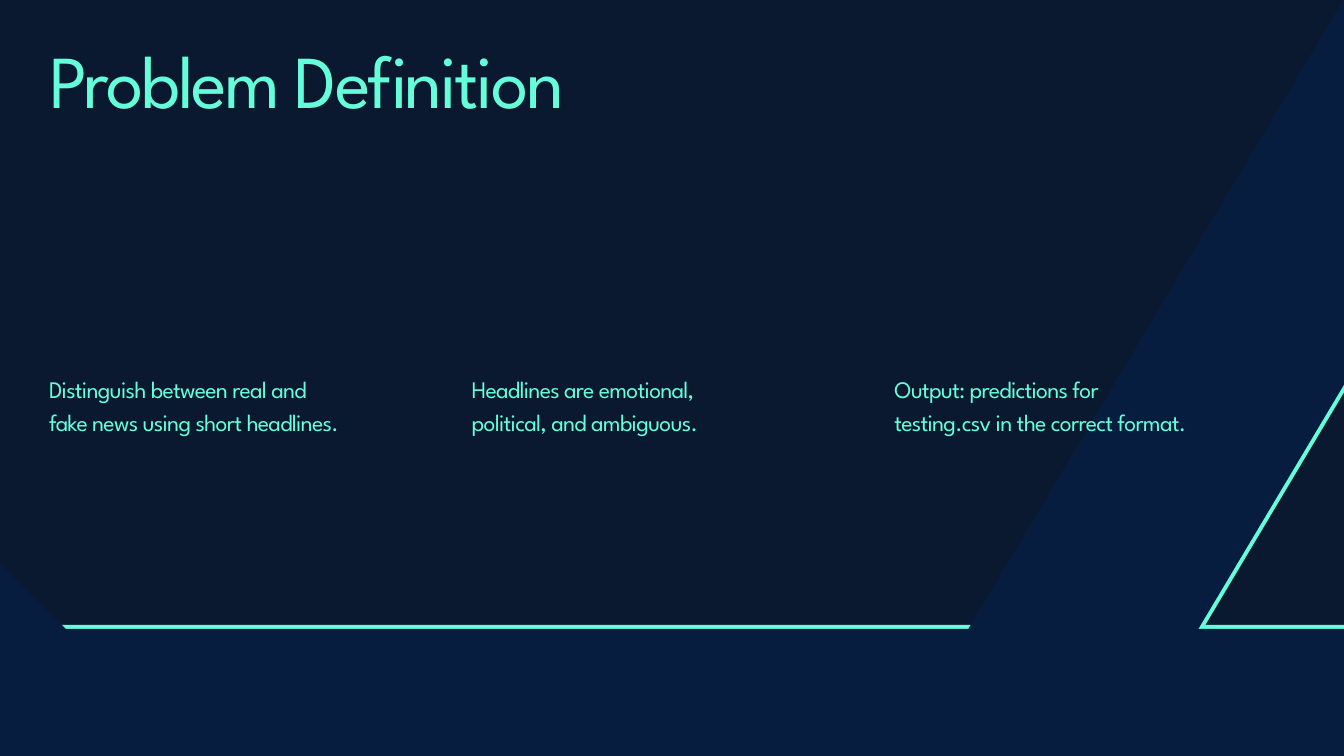
import pptx
import pptx.util
import pptx.dml.color
import pptx.enum.shapes
import pptx.enum.text

NIGHT = pptx.dml.color.RGBColor(0x0A, 0x19, 0x2F)
NAVY = pptx.dml.color.RGBColor(0x06, 0x1D, 0x40)
MINT = pptx.dml.color.RGBColor(0x64, 0xFF, 0xDA)
FONT = "League Spartan"

# The slide is a grid of square units
COLUMNS, ROWS = 20, 11.25
UNIT = pptx.util.Inches(1)
MARGIN = 0.73
COLUMN_PITCH = 6.29
BODY_TOP = 5.51


def write_text(frame, text, size=25.4, line_spacing=35.5, tracking=-0.8, color=MINT):
    """Fill a text frame with one formatted paragraph."""
    paragraph = frame.paragraphs[0]
    paragraph.line_spacing = pptx.util.Pt(line_spacing)
    run = paragraph.add_run()
    run.text = text
    run.font.name = FONT
    run.font.size = pptx.util.Pt(size)
    run.font.color.rgb = color
    run.font._element.set("spc", str(round(tracking * 100)))


class SlideBuilder:
    """Holds the style and the current slide; places elements in grid units."""

    def __init__(self, presentation, background):
        self.slide = presentation.slides.add_slide(presentation.slide_layouts[6])
        fill = self.slide.background.fill
        fill.solid()
        fill.fore_color.rgb = background

    def place(self, *lengths):
        return [round(length * UNIT) for length in lengths]

    def band(self, left, top, width, height, color, rotation=0):
        shape = self.slide.shapes.add_shape(
            pptx.enum.shapes.MSO_SHAPE.RECTANGLE, *self.place(left, top, width, height))
        shape.rotation = rotation
        shape.shadow.inherit = False
        shape.fill.solid()
        shape.fill.fore_color.rgb = color
        shape.line.fill.background()

    def text(self, left, top, width, height, text, **text_format):
        shape = self.slide.shapes.add_textbox(*self.place(left, top, width, height))
        frame = shape.text_frame
        frame.word_wrap = True
        frame.auto_size = pptx.enum.text.MSO_AUTO_SIZE.SHAPE_TO_FIT_TEXT
        frame.margin_left = frame.margin_right = 0
        frame.margin_top = frame.margin_bottom = 0
        write_text(frame, text, **text_format)


def main():
    presentation = pptx.Presentation()
    presentation.slide_width = round(COLUMNS * UNIT)
    presentation.slide_height = round(ROWS * UNIT)
    builder = SlideBuilder(presentation, NIGHT)

    # Mint edges, partly covered by the navy bands that follow
    slant = 300.8
    builder.band(15.8, 6.65, 6.06, 0.78, MINT, rotation=slant)
    builder.band(0.18, 9.3, COLUMNS, 2.74, MINT)

    # Navy diagonal, floor and lower left corner
    builder.band(10.93, 4.52, 14.4, 2.94, NAVY, rotation=slant)
    builder.band(0, 9.36, COLUMNS, 2.74, NAVY)
    builder.band(-1.97, 8.58, 3.54, 1.93, NAVY, rotation=225)

    # Title
    builder.text(MARGIN, 0.72, 12.25, 1.34, "Problem Definition",
                 size=80, line_spacing=80, tracking=-2.4)

    # Three equally spaced statements
    statements = [
        ("Distinguish between real and fake news using short headlines.", 1.51),
        ("Headlines are emotional, political, and ambiguous.", 1.02),
        ("Output: predictions for testing.csv in the correct format.", 1.51),
    ]
    for index, (statement, height) in enumerate(statements):
        builder.text(MARGIN + index * COLUMN_PITCH, BODY_TOP, 4.39, height, statement)

    presentation.save("out.pptx")


if __name__ == "__main__":
    main()
